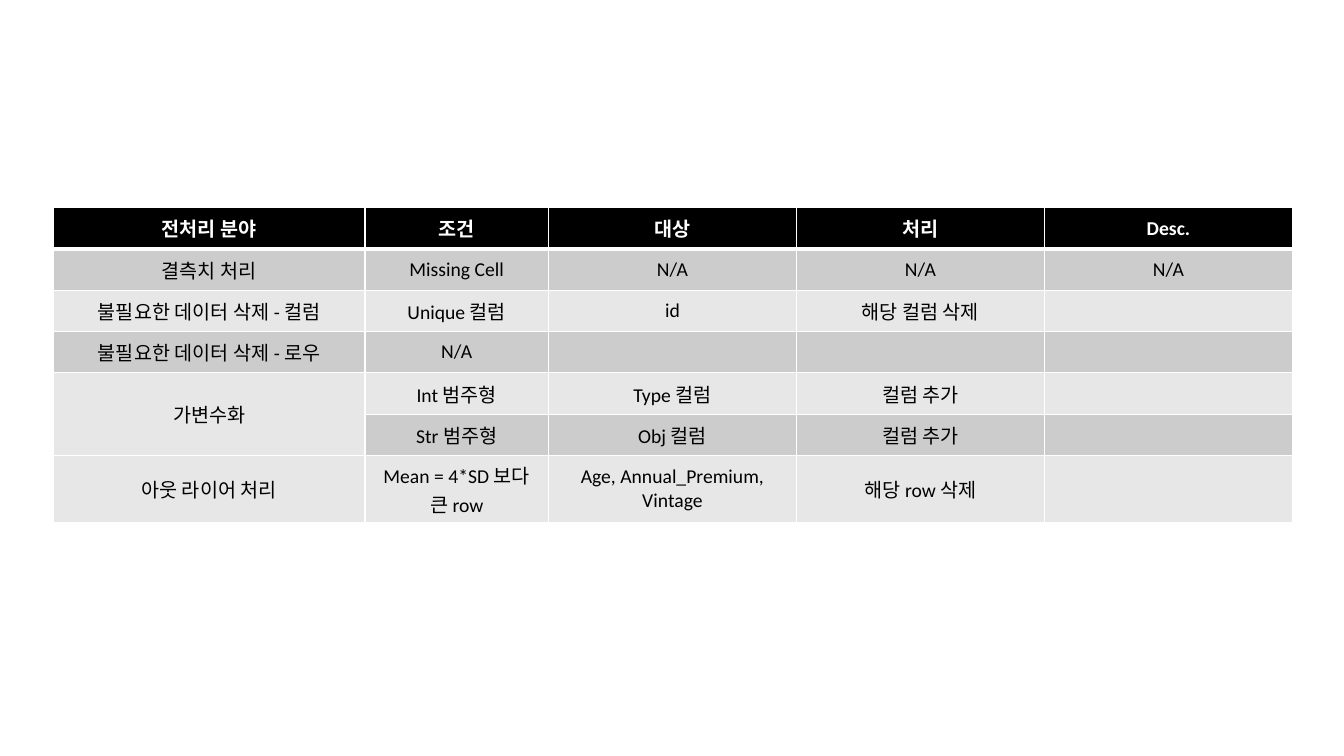
from lxml.etree import SubElement
from pptx import Presentation
from pptx.dml.color import RGBColor
from pptx.enum.text import MSO_ANCHOR, PP_ALIGN
from pptx.oxml.ns import qn
from pptx.util import Inches, Pt

HEADER = ["전처리 분야", "조건", "대상", "처리", "Desc."]
STEPS = [
    ["결측치 처리", "Missing Cell", "N/A", "N/A", "N/A"],
    ["불필요한 데이터 삭제 - 컬럼", "Unique 컬럼", "id", "해당 컬럼 삭제", ""],
    ["불필요한 데이터 삭제 - 로우", "N/A", "", "", ""],
    ["가변수화", "Int 범주형", "Type 컬럼", "컬럼 추가", ""],
    ["", "Str 범주형", "Obj 컬럼", "컬럼 추가", ""],
    ["아웃 라이어 처리", "Mean = 4*SD 보다 큰 row",
     "Age, Annual_Premium, Vintage", "해당 row 삭제", ""],
]
MERGED_ROWS = (4, 5)
COL_WIDTHS = [3.09, 1.82, 2.46, 2.46, 2.46]
ROW_HEIGHT = 0.41
LEFT, TOP = 0.53, 2.06
FONT, SIZE = "Calibri", 14

BLACK = RGBColor(0x00, 0x00, 0x00)
WHITE = RGBColor(0xFF, 0xFF, 0xFF)
DARK_BAND = RGBColor(0xCC, 0xCC, 0xCC)
LIGHT_BAND = RGBColor(0xE7, 0xE7, 0xE7)


def set_borders(cell, widths):
    """Draw white borders of the given point widths, keyed by side."""
    tc_pr = cell._tc.get_or_add_tcPr()
    for i, (side, width) in enumerate(widths.items()):
        ln = SubElement(tc_pr, qn(f"a:ln{side}"), w=str(Pt(width)))
        fill = SubElement(ln, qn("a:solidFill"))
        SubElement(fill, qn("a:srgbClr"), val=str(WHITE))
        tc_pr.insert(i, ln)


def format_cell(cell, text, row):
    """Fill one table cell and style it for its row."""
    is_header = row == 0
    cell.text_frame.text = text
    cell.vertical_anchor = MSO_ANCHOR.MIDDLE
    cell.fill.solid()
    band = DARK_BAND if row % 2 else LIGHT_BAND
    cell.fill.fore_color.rgb = BLACK if is_header else band
    set_borders(cell, {"L": 1, "R": 1, "T": 3 if row == 1 else 1,
                       "B": 3 if is_header else 1})
    p = cell.text_frame.paragraphs[0]
    p.alignment = PP_ALIGN.CENTER
    for r in p.runs:
        r.font.name = FONT
        r.font.size = Pt(SIZE)
        r.font.bold = is_header
        r.font.color.rgb = WHITE if is_header else BLACK


def main():
    """Build the preprocessing table slide."""
    prs = Presentation()
    prs.slide_width, prs.slide_height = Inches(13.33), Inches(7.5)
    s = prs.slides.add_slide(prs.slide_layouts[6])
    rows = [HEADER] + STEPS
    table = s.shapes.add_table(
        len(rows), len(HEADER), Inches(LEFT), Inches(TOP),
        Inches(sum(COL_WIDTHS)), Inches(ROW_HEIGHT * len(rows))).table
    for column, width in zip(table.columns, COL_WIDTHS):
        column.width = Inches(width)
    for i, texts in enumerate(rows):
        table.rows[i].height = Inches(ROW_HEIGHT)
        for j, text in enumerate(texts):
            format_cell(table.cell(i, j), text, i)
    first, last = MERGED_ROWS
    table.cell(first, 0).merge(table.cell(last, 0))
    prs.save("out.pptx")


if __name__ == "__main__":
    main()
